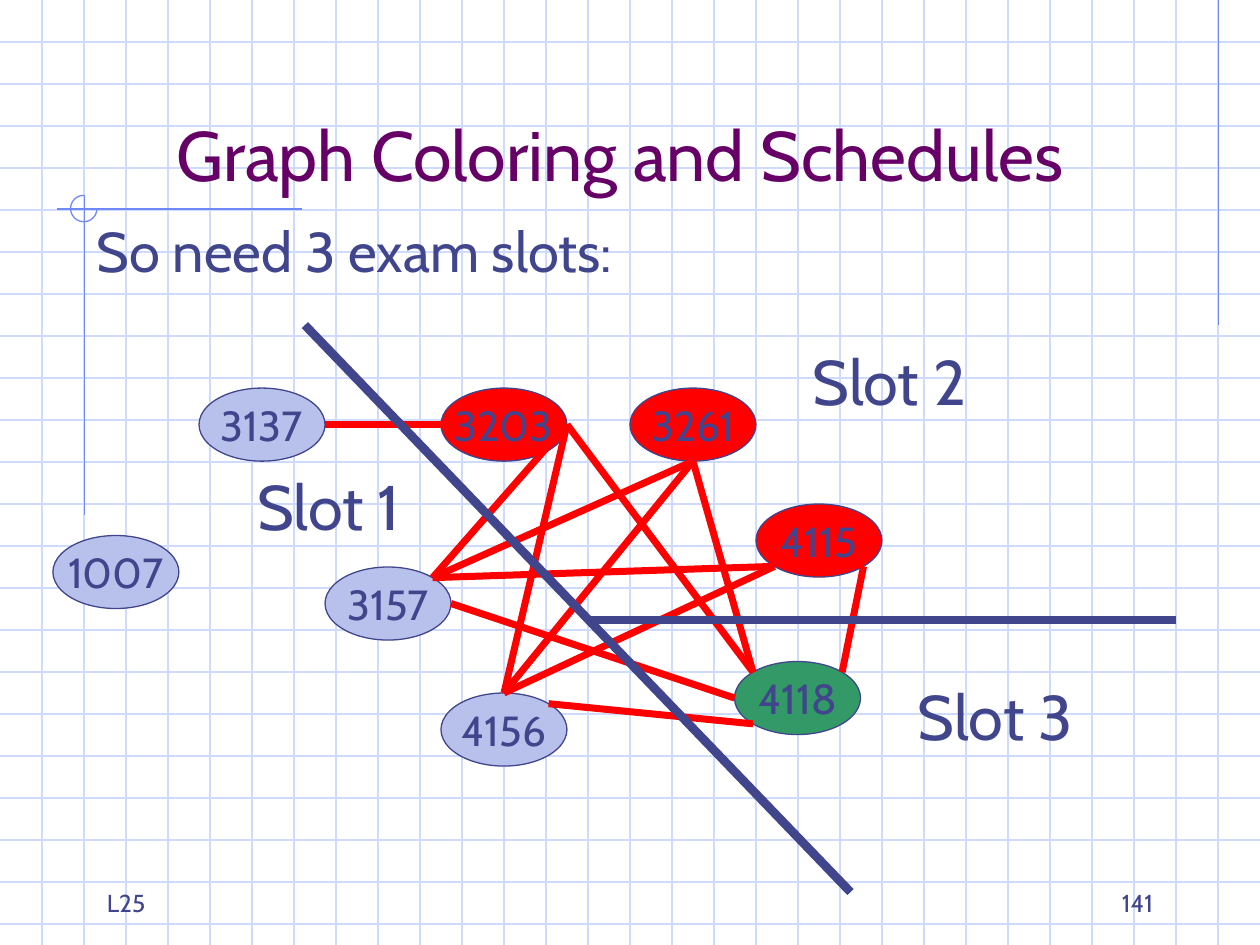
import dataclasses
import math

import lxml.etree
import pptx
import pptx.dml.color
import pptx.enum.shapes
import pptx.enum.text
import pptx.oxml.ns
import pptx.util

Inches = pptx.util.Inches
Pt = pptx.util.Pt
Align = pptx.enum.text.PP_ALIGN
Anchor = pptx.enum.text.MSO_ANCHOR
AutoSize = pptx.enum.text.MSO_AUTO_SIZE
Shape = pptx.enum.shapes.MSO_SHAPE


@dataclasses.dataclass(frozen=True)
class Theme:
    font: str = "Cabin"
    ink: str = "40458C"
    title: str = "660066"
    grid: str = "CFDBFD"
    ornament: str = "6F89F7"
    edge: str = "FF0000"
    slot_1: str = "B7C1EB"
    slot_2: str = "FF0000"
    slot_3: str = "339966"
    title_size: int = 40
    slot_size: int = 36
    body_size: int = 32
    course_size: int = 24
    footer_size: int = 14
    thin: float = 0.75
    edge_width: float = 4
    divider_width: float = 5


THEME = Theme()
SLIDE_WIDTH, SLIDE_HEIGHT = 10, 7.5
GRID_STEP = 1 / 3
COURSE_WIDTH, COURSE_HEIGHT = 1, 0.58

# course: (left, top, colour of its exam slot)
COURSES = {
    "1007": (0.42, 4.25, THEME.slot_1),
    "3137": (1.58, 3.08, THEME.slot_1),
    "3157": (2.58, 4.5, THEME.slot_1),
    "3203": (3.5, 3.08, THEME.slot_2),
    "4115": (6, 4, THEME.slot_2),
    "3261": (5, 3.08, THEME.slot_2),
    "4156": (3.5, 5.5, THEME.slot_1),
    "4118": (5.83, 5.25, THEME.slot_3),
}

# Each conflict joins two courses at compass points of their ellipses.
CONFLICTS = [
    ("3137", "E", "3203", "W"),
    ("3157", "NE", "3203", "E"),
    ("4156", "N", "3203", "E"),
    ("4118", "W", "3157", "E"),
    ("4115", "SW", "3157", "NE"),
    ("3261", "S", "3157", "NE"),
    ("4118", "SW", "4156", "NE"),
    ("4118", "NW", "3261", "S"),
    ("4118", "NW", "3203", "E"),
    ("4118", "NE", "4115", "SE"),
    ("3261", "S", "4156", "N"),
    ("4156", "N", "4115", "SW"),
]
COMPASS = ["E", "SE", "S", "SW", "W", "NW", "N", "NE"]

DIVIDERS = [((2.42, 2.58), (6.75, 7.08)), ((4.67, 4.92), (9.33, 4.92))]
ORNAMENT_LINES = [
    ((9.67, 0), (9.67, 2.58)),
    ((2.4, 1.66), (0.45, 1.66)),
    ((0.67, 1.55), (0.67, 4.09)),
]
SLOT_LABELS = [("Slot 1", 1.86, 3.66), ("Slot 2", 6.31, 2.67), ("Slot 3", 7.15, 5.33)]


def rgb(value):
    return pptx.dml.color.RGBColor.from_string(value)


def set_line(line, color, width):
    line.color.rgb = rgb(color)
    line.width = Pt(width)


def add_line(slide, start, end, color, width):
    connector = slide.shapes.add_connector(
        pptx.enum.shapes.MSO_CONNECTOR.STRAIGHT, *map(Inches, (*start, *end))
    )
    set_line(connector.line, color, width)
    properties = connector._element.spPr
    lxml.etree.SubElement(properties, pptx.oxml.ns.qn("a:effectLst"))


def write_text(shape, text, size, color=THEME.ink, align=Align.LEFT, **frame_format):
    frame = shape.text_frame
    for name, value in frame_format.items():
        setattr(frame, name, value)
    paragraph = frame.paragraphs[0]
    paragraph.alignment = align
    run = paragraph.add_run()
    run.text = text
    for name, value in {"name": THEME.font, "size": Pt(size)}.items():
        setattr(run.font, name, value)
    run.font.color.rgb = rgb(color)


def add_text(slide, box, text, size, **text_format):
    shape = slide.shapes.add_textbox(*map(Inches, box))
    write_text(shape, text, size, **{"word_wrap": True, **text_format})


def add_grid(slide):
    for row in range(1, math.ceil(SLIDE_HEIGHT / GRID_STEP)):
        y = row * GRID_STEP
        add_line(slide, (0, y), (SLIDE_WIDTH, y), THEME.grid, THEME.thin)
    for column in range(1, round(SLIDE_WIDTH / GRID_STEP)):
        x = column * GRID_STEP
        add_line(slide, (x, 0), (x, SLIDE_HEIGHT), THEME.grid, THEME.thin)


def add_ornament(slide):
    """Draw the corner rules and the three-quarter ring where two of them cross."""
    for start, end in ORNAMENT_LINES:
        add_line(slide, start, end, THEME.ornament, THEME.thin)
    ring = slide.shapes.add_shape(Shape.ARC, *map(Inches, (0.56, 1.55, 0.21, 0.21)))
    ring.adjustments[0] = 0
    ring.adjustments[1] = 270 * 60000 / 100000
    ring.shadow.inherit = False
    ring.fill.background()
    set_line(ring.line, THEME.ornament, THEME.thin)


def add_course(slide, number):
    left, top, color = COURSES[number]
    ellipse = slide.shapes.add_shape(
        Shape.OVAL, *map(Inches, (left, top, COURSE_WIDTH, COURSE_HEIGHT))
    )
    ellipse.shadow.inherit = False
    ellipse.fill.solid()
    ellipse.fill.fore_color.rgb = rgb(color)
    set_line(ellipse.line, THEME.ink, THEME.thin)
    write_text(ellipse, number, THEME.course_size, align=Align.CENTER,
               vertical_anchor=Anchor.MIDDLE, word_wrap=False)


def course_point(number, direction):
    """Return the point of a course's ellipse in a compass direction."""
    left, top, _ = COURSES[number]
    angle = COMPASS.index(direction) * math.pi / 4
    return (left + COURSE_WIDTH / 2 * (1 + math.cos(angle)),
            top + COURSE_HEIGHT / 2 * (1 + math.sin(angle)))


def add_conflict(slide, first, first_side, second, second_side):
    add_line(slide, course_point(first, first_side), course_point(second, second_side),
             THEME.edge, THEME.edge_width)


def main():
    presentation = pptx.Presentation()
    presentation.slide_width = Inches(SLIDE_WIDTH)
    presentation.slide_height = Inches(SLIDE_HEIGHT)
    slide = presentation.slides.add_slide(presentation.slide_layouts[6])

    add_grid(slide)
    add_ornament(slide)
    for text, left, align in [("L25", 0.75, Align.LEFT), ("141", 7.17, Align.RIGHT)]:
        add_text(slide, (left, 6.83, 2.08, 0.5), text, THEME.footer_size,
                 align=align, vertical_anchor=Anchor.BOTTOM)
    add_text(slide, (0.67, 0.33, 8.5, 1.25), "Graph Coloring and Schedules",
             THEME.title_size, color=THEME.title, align=Align.CENTER,
             vertical_anchor=Anchor.BOTTOM, margin_bottom=Inches(0.03))
    add_text(slide, (0.67, 1.67, 8.92, 5.33), "So need 3 exam slots:", THEME.body_size)

    for number in COURSES:
        add_course(slide, number)
    for conflict in CONFLICTS:
        add_conflict(slide, *conflict)
    for start, end in DIVIDERS:
        add_line(slide, start, end, THEME.ink, THEME.divider_width)
    for text, left, top in SLOT_LABELS:
        add_text(slide, (left, top, 1.5, 0.7), text, THEME.slot_size, align=Align.CENTER,
                 word_wrap=False, auto_size=AutoSize.SHAPE_TO_FIT_TEXT)

    presentation.save("out.pptx")


if __name__ == "__main__":
    main()
